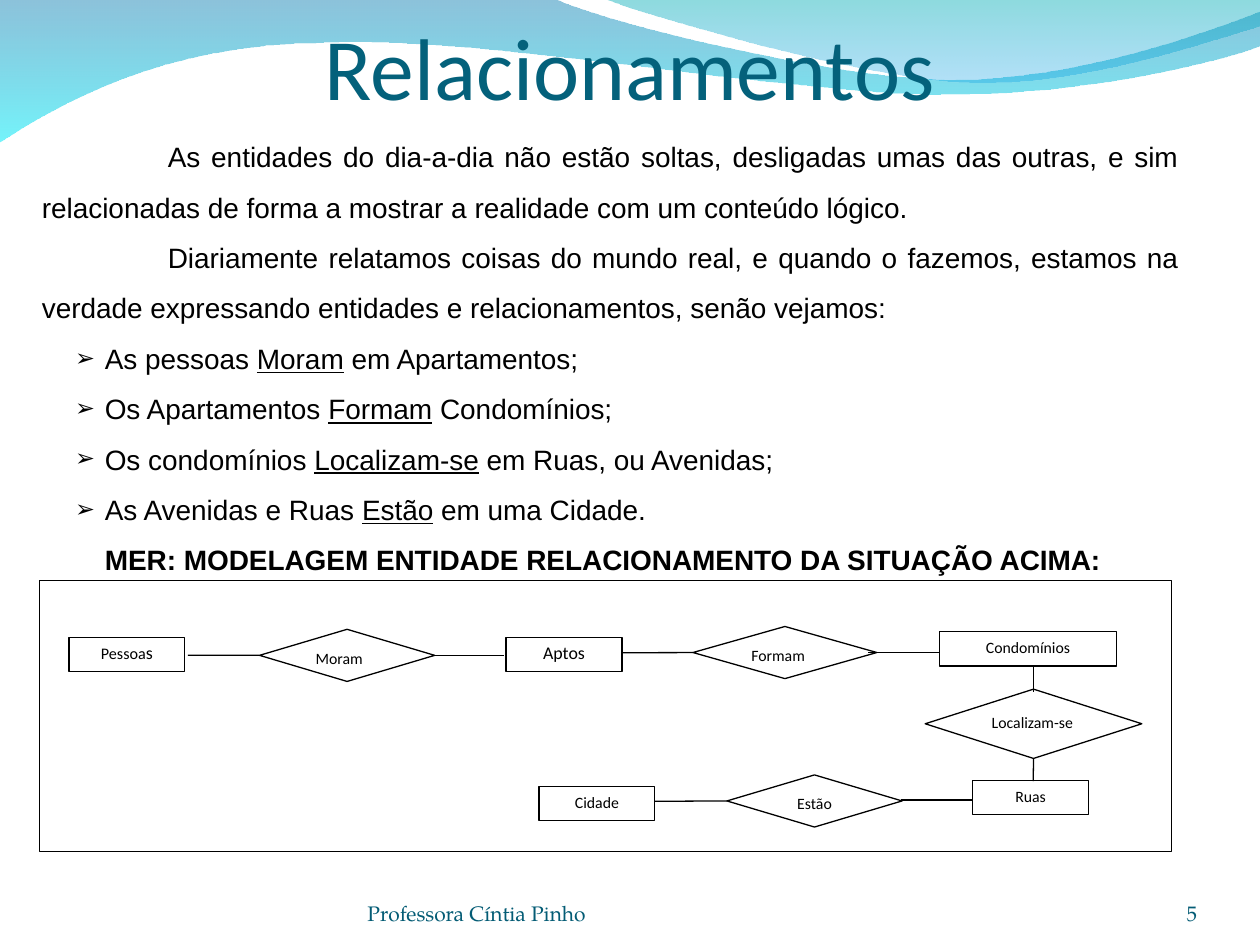
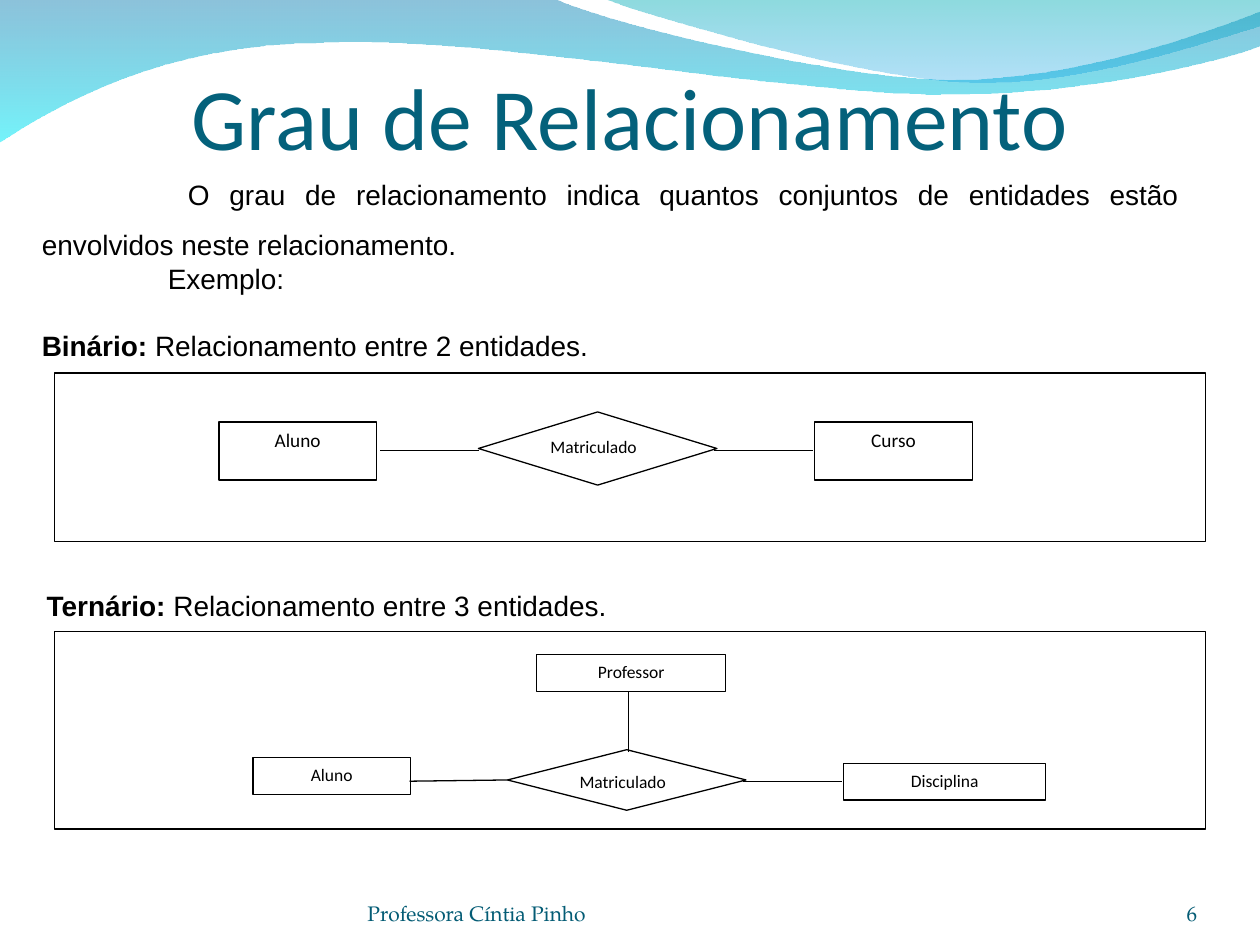
import math
from typing import NamedTuple

import lxml.etree
import pptx
import pptx.dml.color
import pptx.enum.shapes
import pptx.enum.text
import pptx.oxml.ns
import pptx.util

Pt = pptx.util.Pt
ALIGN = pptx.enum.text.PP_ALIGN
ANCHOR = pptx.enum.text.MSO_ANCHOR
SHAPE = pptx.enum.shapes.MSO_SHAPE
qn = pptx.oxml.ns.qn

BLACK, WHITE = "000000", "FFFFFF"
TITLE_COLOR, FOOTER_COLOR = "04617B", "045C75"
TITLE_FONT, BODY_FONT, FOOTER_FONT = "Calibri", "Arial", "TeX Gyre Pagella"
BODY_SIZE = 16
TEXT_INSETS = (7.2, 3.6, 7.2, 3.6)
JOIN_DISTANCE = 0.8


class Box(NamedTuple):
    left: float
    top: float
    width: float
    height: float


class Run(NamedTuple):
    text: str
    size: float = BODY_SIZE
    bold: bool = False
    underline: bool = False
    font: str = BODY_FONT
    color: str = BLACK


class Para(NamedTuple):
    runs: list[Run]
    align: ALIGN = ALIGN.LEFT
    spacing: float = 1.0
    before: float = 0
    margin: float = 0
    indent: float = 0
    bullet: str = ""


class Node(NamedTuple):
    """An entity (rectangle) or a relationship (diamond)."""
    box: Box
    runs: list[Run]
    diamond: bool = False
    align: ALIGN = ALIGN.CENTER
    spacing: float = 1.0


class Line(NamedTuple):
    x1: float
    y1: float
    x2: float
    y2: float


class Wave(NamedTuple):
    """Steps are points, or the two controls and the end of a Bézier curve."""
    start: tuple[float, float]
    steps: list[tuple[float, ...]]
    stops: list[tuple[str, int]]


WAVES = [
    Wave((0, -0.7), [(316.8, -0.7), (342.7, 12.2, 478.1, 45.4, 545.8, 45.4),
                     (614.2, 45.4, 689.8, 18.7, 720, 6.5), (720.7, 25.9),
                     (707.8, 31.7, 626.4, 54.7, 537.1, 54),
                     (447.8, 54, 275, 20.2, 185, 24.5),
                     (92.2, 25.2, 33.1, 59.8, -0.7, 81.4)],
         [("0079AF", 45), ("00EBF8", 55)]),
    Wave((344.9, -0.7), [(366.5, 7.9, 491, 44.6, 553.7, 46.8),
                         (616.3, 49.7, 691.9, 23, 720, 15.1), (720, 0)],
         [("00ADB6", 45), ("009BE5", 30)]),
]


def rgb(color: str) -> pptx.dml.color.RGBColor:
    return pptx.dml.color.RGBColor.from_string(color)


def add_bullet(p, char: str) -> None:
    pPr = p._p.get_or_add_pPr()
    color = lxml.etree.SubElement(pPr, qn("a:buClr"))
    lxml.etree.SubElement(color, qn("a:srgbClr"), val=BLACK)
    lxml.etree.SubElement(pPr, qn("a:buSzPct"), val="85000")
    lxml.etree.SubElement(pPr, qn("a:buFont"), typeface=BODY_FONT)
    lxml.etree.SubElement(pPr, qn("a:buChar"), char=char)


def write(tf, paras: list[Para], insets=TEXT_INSETS, anchor=ANCHOR.TOP) -> None:
    tf.word_wrap = True
    tf.vertical_anchor = anchor
    tf.margin_left, tf.margin_top, tf.margin_right, tf.margin_bottom = map(Pt, insets)
    for i, para in enumerate(paras):
        p = tf.add_paragraph() if i else tf.paragraphs[0]
        if para.bullet:
            add_bullet(p, para.bullet)
        pPr = p._p.get_or_add_pPr()
        pPr.set("marL", str(Pt(para.margin)))
        pPr.set("indent", str(Pt(para.indent)))
        p.alignment = para.align
        p.line_spacing = para.spacing
        if para.before:
            p.space_before = Pt(para.before)
        for run in para.runs:
            r = p.add_run()
            r.text = run.text
            r.font.name, r.font.size = run.font, Pt(run.size)
            r.font.bold, r.font.underline = run.bold, run.underline
            r.font.color.rgb = rgb(run.color)


def add_text(slide, box: Box, paras: list[Para], **layout) -> None:
    write(slide.shapes.add_textbox(*map(Pt, box)).text_frame, paras, **layout)


def bend(sp, steps: list[tuple[float, ...]]) -> None:
    """Turn the straight segments of a freeform into its Bézier curves."""
    segments = list(sp._element.spPr.iter(qn("a:lnTo")))
    for segment, step in zip(segments, steps):
        if len(step) == 6:
            curve = lxml.etree.Element(qn("a:cubicBezTo"))
            for x, y in zip(step[::2], step[1::2]):
                lxml.etree.SubElement(curve, qn("a:pt"), x=str(Pt(x) - sp.left),
                                      y=str(Pt(y) - sp.top))
            segment.getparent().replace(segment, curve)


def add_wave(slide, wave: Wave) -> None:
    builder = slide.shapes.build_freeform(*map(Pt, wave.start))
    builder.add_line_segments([tuple(map(Pt, step[-2:])) for step in wave.steps])
    sp = builder.convert_to_shape()
    bend(sp, wave.steps)
    sp.shadow.inherit = False
    sp.line.fill.background()
    sp.fill.gradient()
    sp.fill.gradient_angle = 270
    for stop, (color, _) in zip(sp.fill.gradient_stops, wave.stops):
        stop.color.rgb = rgb(color)
    colors = sp._element.spPr.iter(qn("a:srgbClr"))
    for element, (_, opacity) in zip(colors, wave.stops):
        lxml.etree.SubElement(element, qn("a:alpha"), val=str(opacity * 1000))


def add_outlined(slide, kind: SHAPE, box: Box, filled: bool = True):
    sp = slide.shapes.add_shape(kind, *map(Pt, box))
    sp.shadow.inherit = False
    if filled:
        sp.fill.solid()
        sp.fill.fore_color.rgb = rgb(WHITE)
    else:
        sp.fill.background()
    sp.line.color.rgb = rgb(BLACK)
    sp.line.width = Pt(0.75)
    return sp


def add_node(slide, node: Node):
    kind = SHAPE.FLOWCHART_DECISION if node.diamond else SHAPE.FLOWCHART_PROCESS
    sp = add_outlined(slide, kind, node.box)
    write(sp.text_frame, [Para(node.runs, node.align, node.spacing)])
    return sp


def sites(box: Box) -> list[tuple[float, float]]:
    """Middles of the sides: top, left, bottom, right."""
    x, y, w, h = box
    return [(x + w / 2, y), (x, y + h / 2), (x + w / 2, y + h), (x + w, y + h / 2)]


def add_line(slide, line: Line, nodes: list[Node], shapes: list) -> None:
    """Draw a line and join each end to a node side that it meets."""
    c = slide.shapes.add_connector(
        pptx.enum.shapes.MSO_CONNECTOR.STRAIGHT, *map(Pt, line))
    c.line.color.rgb = rgb(BLACK)
    c.line.width = Pt(0.75)
    lxml.etree.SubElement(c._element.spPr, qn("a:effectLst"))
    for end, connect in ((line[:2], c.begin_connect), (line[2:], c.end_connect)):
        for node, sp in zip(nodes, shapes):
            for i, site in enumerate(sites(node.box)):
                if math.dist(end, site) <= JOIN_DISTANCE:
                    connect(sp, i)


def add_diagram(slide, frame: Box, nodes: list[Node], lines: list[Line],
                filled: bool = False) -> None:
    add_outlined(slide, SHAPE.RECTANGLE, frame, filled)
    shapes = [add_node(slide, node) for node in nodes]
    for line in lines:
        add_line(slide, line, nodes, shapes)


def label(text: str, size: float) -> list[Run]:
    return [Run(text, size, font=TITLE_FONT)]


def add_base(prs, title: str, title_box: Box, number: int):
    slide = prs.slides.add_slide(prs.slide_layouts[6])
    for wave in WAVES:
        add_wave(slide, wave)
    heading = Run(title, 50, font=TITLE_FONT, color=TITLE_COLOR)
    add_text(slide, title_box, [Para([heading], ALIGN.CENTER)],
             insets=(0, 3.6, 0, 0), anchor=ANCHOR.BOTTOM)
    for left, width, text, align in (
            (210, 264.2, "Professora Cíntia Pinho", ALIGN.LEFT),
            (624, 60, str(number), ALIGN.RIGHT)):
        run = Run(text, 12, font=FOOTER_FONT, color=FOOTER_COLOR)
        add_text(slide, Box(left, 500.4, width, 28.8), [Para([run], align)],
                 insets=(0, 0, 0, 0), anchor=ANCHOR.BOTTOM)
    return slide


def add_relationships(prs) -> None:
    slide = add_base(prs, "Relacionamentos", Box(36, -22.3, 648, 90), 5)
    intro = ["As entidades do dia-a-dia não estão soltas, desligadas umas das outras, e sim "
             "relacionadas de forma a mostrar a realidade com um conteúdo lógico.",
             "Diariamente relatamos coisas do mundo real, e quando o fazemos, estamos na "
             "verdade expressando entidades e relacionamentos, senão vejamos:"]
    examples = [("As pessoas ", "Moram", " em Apartamentos;"),
                ("Os Apartamentos ", "Formam", " Condomínios;"),
                ("Os condomínios ", "Localizam-se", " em Ruas, ou Avenidas;"),
                ("As Avenidas e Ruas ", "Estão", " em uma Cidade.")]
    paras = [Para([Run(text)], ALIGN.JUSTIFY, 1.5, indent=72) for text in intro]
    paras += [Para([Run(subject), Run(verb, underline=True), Run(rest)],
                   ALIGN.JUSTIFY, 1.5, margin=36, indent=-17, bullet="➢")
              for subject, verb, rest in examples]
    caption = Run("MER: MODELAGEM ENTIDADE RELACIONAMENTO DA SITUAÇÃO ACIMA:", bold=True)
    paras.append(Para([caption], ALIGN.JUSTIFY, 1.5, margin=36))
    add_text(slide, Box(16.8, 63.4, 663.8, 270), paras,
             insets=(7.2, 6.4, 7.2, 3.6), anchor=ANCHOR.MIDDLE)

    w, h = 66.2, 19.6
    nodes = [
        Node(Box(39.4, 364.3, w, h), label("Pessoa", 9.2) + label("s", 10.2), spacing=0.9),
        Node(Box(289.2, 364.3, w, h), label("Aptos", 10.2), spacing=0.9),
        Node(Box(536.9, 360.9, 101, h), label("Condomínios", 9)),
        Node(Box(308, 449.3, w, h), label("Cidade", 9)),
        Node(Box(555.8, 446, w, h), label("Ruas", 9)),
        Node(Box(148.3, 359.6, 100.1, 29.8), label("Moram", 9), True, ALIGN.LEFT),
        Node(Box(396, 358, 105.1, 29.8), label("Formam", 9), True, ALIGN.LEFT),
        Node(Box(415.4, 442.8, 100.1, 29.8), label("Estão", 9), True),
        Node(Box(528.7, 393.8, 123.8, 39.6), label("Localizam-se", 9), True, ALIGN.LEFT),
    ]
    lines = [Line(x, y, x + 41, y) for x, y in (
        (107.3, 374.4), (247, 374.4), (355.7, 373), (496.1, 373),
        (374.4, 457.9), (514.8, 457.2))]
    lines += [Line(590.4, 380.9, 590.4, 395.3), Line(590.4, 432.7, 590.4, 446.4)]
    add_diagram(slide, Box(22.5, 331.9, 646.8, 154.8), nodes, lines, filled=True)


def add_degrees(prs) -> None:
    slide = add_base(prs, "Grau de Relacionamento", Box(36, 43.2, 648, 52.6), 6)
    intro = ("O grau de relacionamento indica quantos conjuntos de entidades estão "
             "envolvidos neste relacionamento.")
    binary, ternary = ([Run(f"{name}: ", bold=True),
                        Run(f"Relacionamento entre {count} entidades.")]
                       for name, count in (("Binário", 2), ("Ternário", 3)))
    add_text(slide, Box(16.8, 84.2, 663.8, 154.8),
             [Para([Run(intro)], ALIGN.JUSTIFY, 1.5, indent=83.5),
              Para([Run("Exemplo:")], indent=72),
              Para(binary, before=19)],
             insets=(7.2, 7.6, 7.2, 3.6))
    add_text(slide, Box(19.6, 332.6, 402.5, 46.1), [Para(ternary)])

    add_diagram(slide, Box(31, 213.1, 658.1, 96.5), [
        Node(Box(125.1, 241.2, 90, 33.1), label("Aluno", 11)),
        Node(Box(465.6, 241.2, 90, 33.1), label("Curso", 11)),
        Node(Box(273.4, 235.4, 136.3, 41.8), label("Matriculado", 10), True, ALIGN.LEFT),
    ], [Line(x, 257.6, x + 56.2, 257.6) for x in (217.4, 408.2)])
    add_diagram(slide, Box(31, 360.7, 658.1, 113), [
        Node(Box(144.5, 432.9, 90, 20.9), label("Aluno", 10)),
        Node(Box(482.2, 436.3, 115.2, 20.9), label("Disciplina", 10)),
        Node(Box(306.7, 374.2, 108, 20.9), label("Professor", 10)),
        Node(Box(290, 428.4, 136.3, 34.6), label("Matriculado", 10), True, ALIGN.LEFT),
    ], [Line(x, 446.4, x + 56.2, 446.4) for x in (234, 424.8)]
        + [Line(359.3, 429.8, 359.3, 395.3)])


def main() -> None:
    prs = pptx.Presentation()
    prs.slide_width, prs.slide_height = Pt(720), Pt(540)
    add_relationships(prs)
    add_degrees(prs)
    prs.save("out.pptx")


if __name__ == "__main__":
    main()
